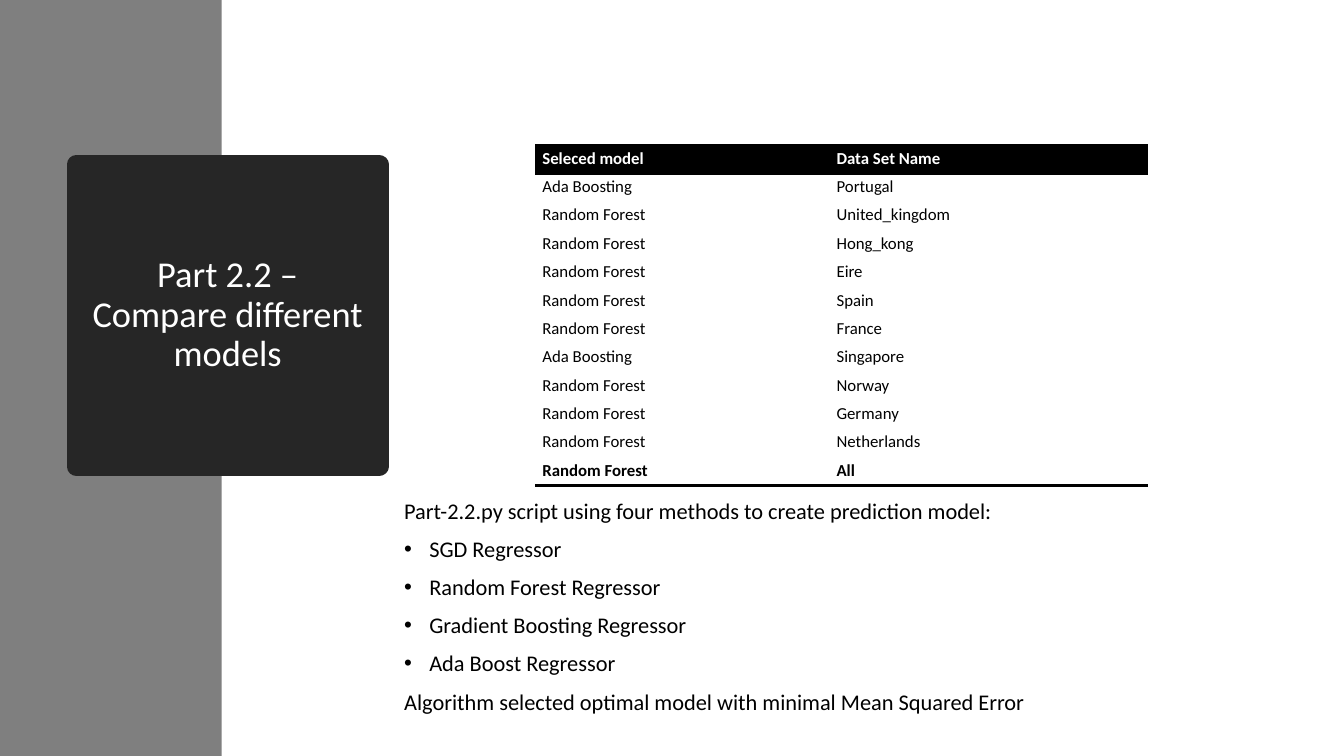
from dataclasses import dataclass

from lxml import etree
from pptx import Presentation
from pptx.dml.color import RGBColor
from pptx.enum.shapes import MSO_SHAPE
from pptx.enum.text import MSO_ANCHOR, PP_ALIGN
from pptx.oxml.ns import qn
from pptx.util import Inches, Pt

RECTANGLE = MSO_SHAPE.RECTANGLE
MIDDLE = MSO_ANCHOR.MIDDLE
CENTER = PP_ALIGN.CENTER

SLIDE_WIDTH, SLIDE_HEIGHT = Inches(13.33), Inches(7.5)
FONT = "Calibri"
COLORS = {
    "sidebar": "7F7F7F",
    "title": "262626",
    "black": "000000",
    "white": "FFFFFF",
}
NO_TABLE_STYLE = "{2D5ABB26-0587-4C30-8999-92F81FD0307C}"


@dataclass(frozen=True)
class Box:
    """Left, top, width and height in percent of the slide's size."""
    left: float
    top: float
    width: float
    height: float

    def lengths(self) -> tuple[int, int, int, int]:
        return (
            round(SLIDE_WIDTH * self.left / 100),
            round(SLIDE_HEIGHT * self.top / 100),
            round(SLIDE_WIDTH * self.width / 100),
            round(SLIDE_HEIGHT * self.height / 100),
        )


@dataclass(frozen=True)
class BodyLine:
    text: str
    bulleted: bool = False


@dataclass(frozen=True)
class ModelRow:
    model: str
    data_set: str
    bold: bool = False


SIDEBAR = Box(0, 0, 16.5, 100)
TITLE = Box(5.7, 21.73, 22.5, 40)
BODY = Box(29.33, 65.47, 67.29, 34.53)
TABLE = Box(39.83, 19.2, 45.61, 45.07)
MODEL_COLUMN_SHARE = 0.48

BODY_LINES = [
    BodyLine("Part-2.2.py script using four methods to create prediction model:"),
    BodyLine("SGD Regressor", bulleted=True),
    BodyLine("Random Forest Regressor", bulleted=True),
    BodyLine("Gradient Boosting Regressor", bulleted=True),
    BodyLine("Ada Boost Regressor", bulleted=True),
    BodyLine("Algorithm selected optimal model with minimal Mean Squared Error"),
]

MODEL_ROWS = [
    ModelRow("Seleced model", "Data Set Name", bold=True),
    ModelRow("Ada Boosting", "Portugal"),
    ModelRow("Random Forest", "United_kingdom"),
    ModelRow("Random Forest", "Hong_kong"),
    ModelRow("Random Forest", "Eire"),
    ModelRow("Random Forest", "Spain"),
    ModelRow("Random Forest", "France"),
    ModelRow("Ada Boosting", "Singapore"),
    ModelRow("Random Forest", "Norway"),
    ModelRow("Random Forest", "Germany"),
    ModelRow("Random Forest", "Netherlands"),
    ModelRow("Random Forest", "All", bold=True),
]


def rgb(name: str) -> RGBColor:
    return RGBColor.from_string(COLORS[name])


def format_runs(paragraph, size: float, color: str, bold: bool = False) -> None:
    for run in paragraph.runs:
        run.font.name = FONT
        run.font.size = Pt(size)
        run.font.bold = bold
        run.font.color.rgb = rgb(color)


def add_rectangle(slide, box: Box, color: str):
    shape = slide.shapes.add_shape(RECTANGLE, *box.lengths())
    shape.shadow.inherit = False
    shape.fill.solid()
    shape.fill.fore_color.rgb = rgb(color)
    shape.line.fill.background()
    return shape


def add_title(slide) -> None:
    shape = add_rectangle(slide, TITLE, "title")
    shape.line.color.rgb = rgb("title")
    shape.line.width = Pt(13.75)
    etree.SubElement(shape.line._get_or_add_ln(), qn("a:round"))
    text_frame = shape.text_frame
    text_frame.word_wrap = True
    text_frame.vertical_anchor = MIDDLE
    text_frame.text = "Part 2.2 – Compare different models"
    paragraph = text_frame.paragraphs[0]
    paragraph.alignment = CENTER
    paragraph.line_spacing = 0.9
    format_runs(paragraph, 26, "white")


def add_bullet(paragraph) -> None:
    properties = paragraph._p.get_or_add_pPr()
    properties.set("marL", str(Inches(0.25)))
    properties.set("indent", str(-Inches(0.25)))
    etree.SubElement(properties, qn("a:buFont"), typeface="Arial")
    etree.SubElement(properties, qn("a:buChar"), char="•")


def add_body(slide) -> None:
    text_frame = slide.shapes.add_textbox(*BODY.lengths()).text_frame
    text_frame.word_wrap = True
    text_frame.text = "\n".join(line.text for line in BODY_LINES)
    for paragraph, line in zip(text_frame.paragraphs, BODY_LINES):
        paragraph.line_spacing = 0.9
        paragraph.space_before = Pt(10)
        format_runs(paragraph, 16, "black")
        if line.bulleted:
            add_bullet(paragraph)


def add_border(cell, side: str) -> None:
    line = etree.SubElement(cell._tc.get_or_add_tcPr(), qn(f"a:{side}"), w=str(Pt(2)))
    fill = etree.SubElement(line, qn("a:solidFill"))
    etree.SubElement(fill, qn("a:srgbClr"), val=COLORS["black"])


def fill_cell(cell, text: str, bold: bool, is_header: bool, borders: list[str]) -> None:
    cell.margin_left = cell.margin_right = Inches(0.07)
    cell.margin_top = cell.margin_bottom = Inches(0.03)
    # Borders must come before the fill in the cell's properties.
    for side in borders:
        add_border(cell, side)
    cell.fill.solid()
    cell.fill.fore_color.rgb = rgb("black" if is_header else "white")
    cell.text_frame.text = text
    format_runs(cell.text_frame.paragraphs[0], 12, "white" if is_header else "black", bold)


def add_model_table(slide) -> None:
    row_count = len(MODEL_ROWS)
    left, top, width, height = TABLE.lengths()
    table = slide.shapes.add_table(row_count, 2, left, top, width, height).table
    table._tbl.tblPr.find(qn("a:tableStyleId")).text = NO_TABLE_STYLE
    table.horz_banding = False
    table.columns[0].width = round(width * MODEL_COLUMN_SHARE)
    table.columns[1].width = width - table.columns[0].width
    for index, row in enumerate(MODEL_ROWS):
        table.rows[index].height = round(height / row_count)
        is_header = index == 0
        borders = ["lnT", "lnB"] if is_header else []
        if index == row_count - 1:
            borders = ["lnB"]
        for column, text in enumerate((row.model, row.data_set)):
            fill_cell(table.cell(index, column), text, row.bold, is_header, borders)


def main() -> None:
    presentation = Presentation()
    presentation.slide_width = SLIDE_WIDTH
    presentation.slide_height = SLIDE_HEIGHT
    slide = presentation.slides.add_slide(presentation.slide_layouts[6])
    add_rectangle(slide, SIDEBAR, "sidebar")
    add_title(slide)
    add_body(slide)
    add_model_table(slide)
    presentation.save("out.pptx")


if __name__ == "__main__":
    main()
